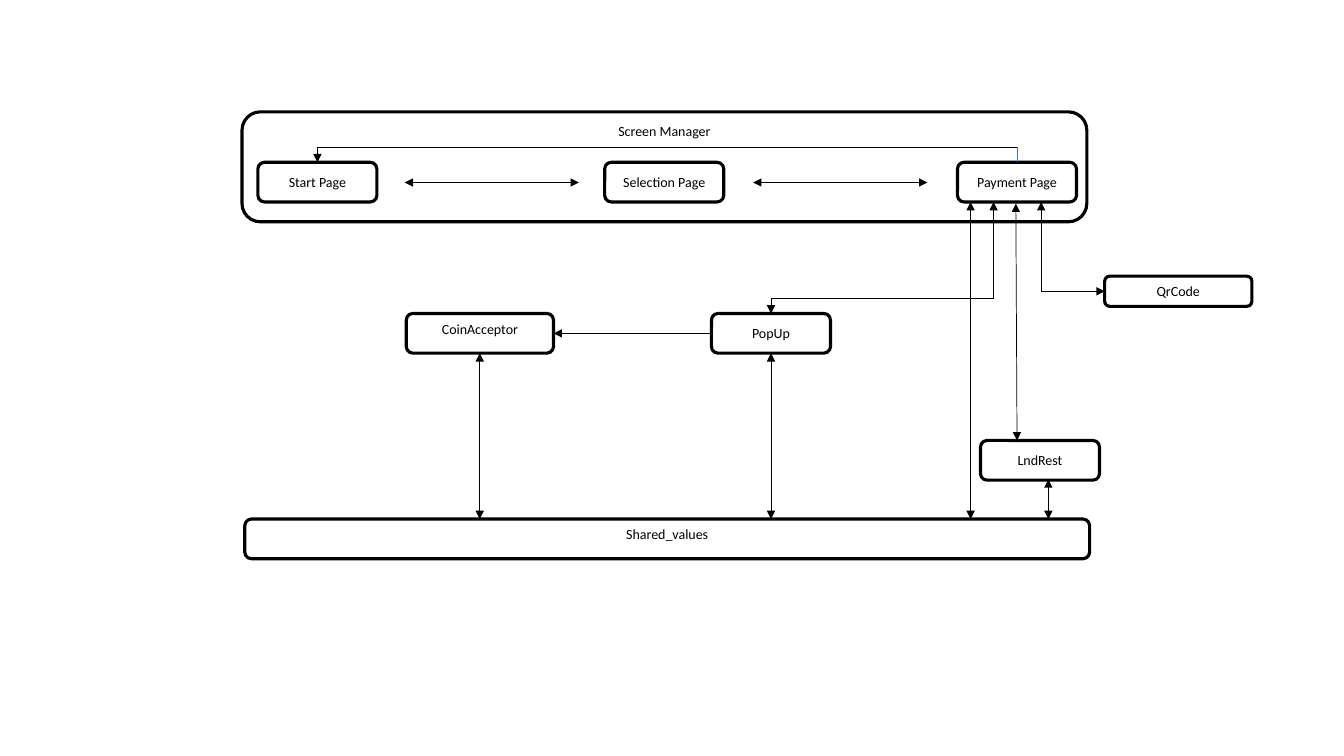
import pptx
import pptx.util
import pptx.dml.color
import pptx.enum.shapes
import pptx.enum.text
import pptx.oxml
import pptx.oxml.ns

Cm = pptx.util.Cm
Pt = pptx.util.Pt
TOP = pptx.enum.text.MSO_ANCHOR.TOP
MIDDLE = pptx.enum.text.MSO_ANCHOR.MIDDLE


def color(code):
    return pptx.dml.color.RGBColor.from_string(code)


class Chart:
    font = "Calibri"
    size = 10
    ink = "000000"
    paper = "FFFFFF"
    border = 2.25
    thin = 0.5

    def __init__(self, slide):
        self.slide = slide

    def box(self, text, left, top, width=3, height=1, anchor=MIDDLE):
        kind = pptx.enum.shapes.MSO_SHAPE.ROUNDED_RECTANGLE
        shape = self.slide.shapes.add_shape(
            kind, Cm(left), Cm(top), Cm(width), Cm(height))
        shape.shadow.inherit = False
        shape.fill.solid()
        shape.fill.fore_color.rgb = color(self.paper)
        shape.line.color.rgb = color(self.ink)
        shape.line.width = Pt(self.border)
        frame = shape.text_frame
        frame.word_wrap = True
        frame.vertical_anchor = anchor
        para = frame.paragraphs[0]
        para.text = text
        para.alignment = pptx.enum.text.PP_ALIGN.CENTER
        para.font.name = self.font
        para.font.size = Pt(self.size)
        para.font.color.rgb = color(self.ink)

    def line(self, start, end, heads=(), ink=ink):
        kind = pptx.enum.shapes.MSO_CONNECTOR.STRAIGHT
        link = self.slide.shapes.add_connector(
            kind, *[Cm(value) for value in (*start, *end)])
        link.line.color.rgb = color(ink)
        link.line.width = Pt(self.thin)
        for name in heads:
            head = pptx.oxml.ns.qn(f"a:{name}")
            link.get_or_add_ln().makeelement(head)
            tip = pptx.oxml.parse_xml(
                f'<a:{name} {pptx.oxml.ns.nsdecls("a")} type="triangle"/>')
            link.get_or_add_ln().append(tip)
        props = link._element.spPr
        props.append(props.makeelement(pptx.oxml.ns.qn("a:effectLst"), {}))

    def arrow(self, start, end):
        self.line(start, end, ["tailEnd"])

    def both(self, start, end):
        self.line(start, end, ["headEnd", "tailEnd"])


def main():
    deck = pptx.Presentation()
    deck.slide_width = Cm(33.87)
    deck.slide_height = Cm(19.05)
    chart = Chart(deck.slides.add_slide(deck.slide_layouts[6]))

    page, popup, shared = 4.09, 7.9, 13.08
    foot = page + 1
    coin_x, popup_x, pay_x = 12.09, 19.43, 25.63

    chart.box("Screen Manager", 6.1, 2.82, 21.29, 2.77, TOP)
    chart.box("Start Page", 6.5, page)
    chart.box("Selection Page", 15.24, page)
    chart.box("Payment Page", 24.13, page)
    for left in (10.2, 18.98):
        chart.both((left, 4.6), (left + 4.39, 4.6))

    chart.line((pay_x, 3.71), (8, 3.71))
    chart.arrow((8, 3.71), (8, page))
    chart.line((pay_x, 3.71), (pay_x, page), ink="4472C4")

    chart.box("CoinAcceptor", 10.24, popup, 3.71, 1, TOP)
    chart.box("Shared_values", 6.17, shared, 21.29, 1, TOP)
    chart.box("QrCode", 27.84, 6.96, 3.71, 0.76, TOP)
    chart.box("PopUp", 17.93, popup)
    chart.box("LndRest", 24.71, 11.1)

    chart.line((25.04, 7.52), (popup_x, 7.52))
    chart.arrow((popup_x, 7.52), (popup_x, popup))
    chart.arrow((25.04, 7.52), (25.04, foot))
    chart.arrow((17.93, 8.4), (13.95, 8.4))
    chart.arrow((26.24, 7.34), (26.24, foot))
    chart.arrow((26.24, 7.34), (27.84, 7.34))

    for x, top in ((coin_x, 8.9), (popup_x, 8.9), (24.46, foot), (26.42, 12.08)):
        chart.both((x, top), (x, shared))
    chart.both((25.6, 5.13), (pay_x, 11.1))

    deck.save("out.pptx")


if __name__ == "__main__":
    main()
